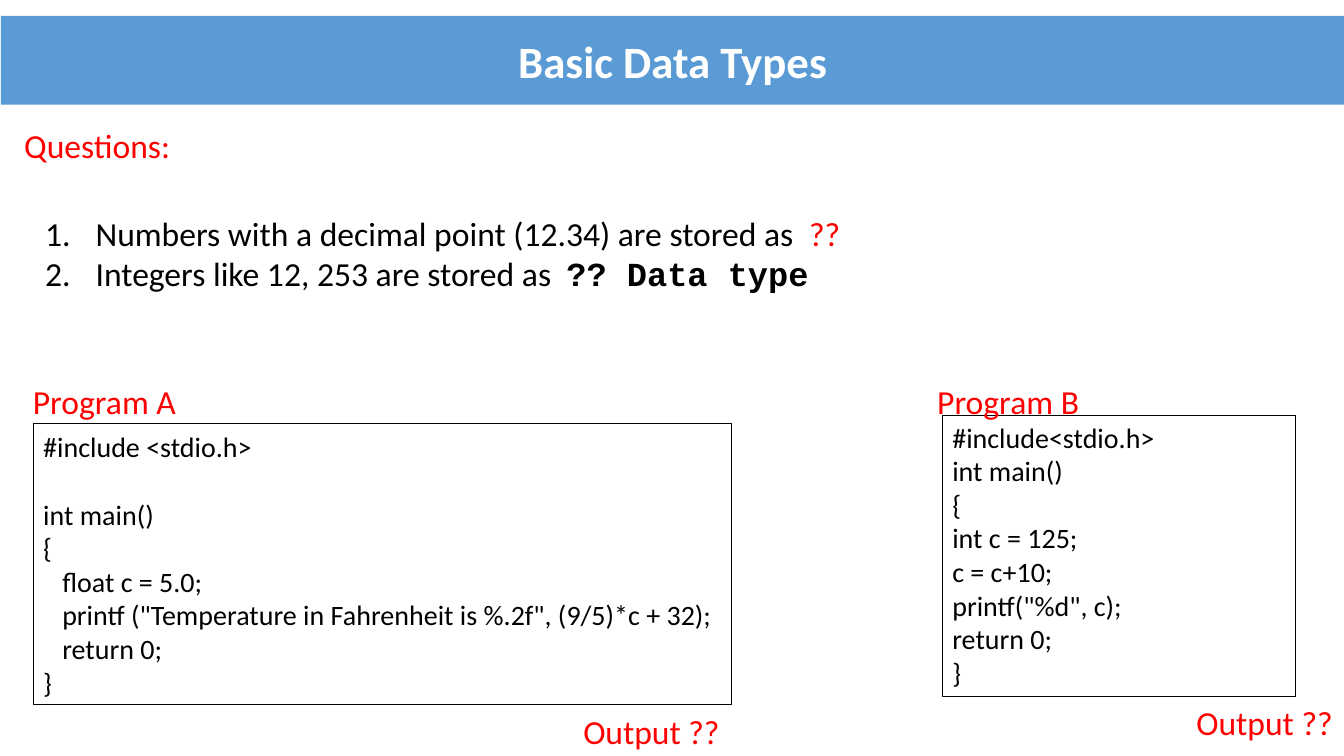
from pptx import Presentation
from pptx.dml.color import RGBColor
from pptx.enum.shapes import MSO_SHAPE
from pptx.enum.text import MSO_ANCHOR, PP_ALIGN
from pptx.oxml.ns import qn
from pptx.util import Cm, Pt
from lxml import etree

RECTANGLE = MSO_SHAPE.RECTANGLE
TOP, MIDDLE = MSO_ANCHOR.TOP, MSO_ANCHOR.MIDDLE
LEFT, CENTER = PP_ALIGN.LEFT, PP_ALIGN.CENTER

BLUE = RGBColor(0x5B, 0x9B, 0xD5)
WHITE = RGBColor(0xFF, 0xFF, 0xFF)
BLACK = RGBColor(0, 0, 0)
RED = RGBColor(0xFF, 0, 0)

BODY_FONT, CODE_FONT = "Calibri", "Courier New"
LABEL_SIZE, CODE_SIZE = 24, 20
LABEL_HEIGHT = 1.27
CODE_INDENT = 0.48
NUMBER_INDENT = 1.27

TITLE = "Basic Data Types"
LABELS = [
    ("Questions:", 0.36, 3.02, 4.24),
    ("Program A", 0.58, 9.47, 4.14),
    ("Program B", 23.37, 9.47, 4.14),
    ("Output ??", 14.45, 17.78, 3.99),
    ("Output ??", 29.9, 17.55, 3.99),
]
QUESTIONS = [
    ("Numbers with a decimal point (12.34) are stored as  ", "??", RED, BODY_FONT, False),
    ("Integers like 12, 253 are stored as  ", "?? Data type", BLACK, CODE_FONT, True),
]
PROGRAM_A = [
    ("#include <stdio.h>", 0, 0),
    ("int main()", 0, 24.4),
    ("{", 0, 0),
    ("float c = 5.0;", 1, 0),
    ('printf ("Temperature in Fahrenheit is %.2f", (9/5)*c + 32);', 1, 0),
    ("return 0;", 1, 0),
    ("}", 0, 0),
]
PROGRAM_B = [
    (line, 0, 0)
    for line in (
        "#include<stdio.h>",
        "int main()",
        "{",
        "int c = 125;",
        "c = c+10;",
        'printf("%d", c);',
        "return 0;",
        "}",
    )
]
PROGRAMS = [
    (PROGRAM_A, (0.84, 10.67, 17.6, 7.09), MIDDLE),
    (PROGRAM_B, (23.75, 10.46, 8.89, 7.09), TOP),
]


def format_font(run, size, color, name=BODY_FONT, bold=False):
    run.font.size = Pt(size)
    run.font.color.rgb = color
    run.font.name = name
    run.font.bold = bold


def add_text(slide, left, top, width, height):
    box = slide.shapes.add_textbox(Cm(left), Cm(top), Cm(width), Cm(height))
    box.text_frame.word_wrap = False
    return box.text_frame


def next_paragraph(frame, index):
    return frame.add_paragraph() if index else frame.paragraphs[0]


def add_title(slide):
    title = slide.shapes.title
    title.left, title.top, title.width, title.height = Cm(0.02), Cm(0.4), Cm(33.87), Cm(2.24)
    title.fill.solid()
    title.fill.fore_color.rgb = BLUE
    title.text_frame.text = TITLE
    title.text_frame.vertical_anchor = MIDDLE
    paragraph = title.text_frame.paragraphs[0]
    paragraph.alignment = CENTER
    format_font(paragraph.runs[0], 32, WHITE, bold=True)


def add_questions(slide):
    frame = add_text(slide, 0.89, 5.23, 20.73, 3.33)
    for index, (question, answer, color, font, bold) in enumerate(QUESTIONS):
        paragraph = next_paragraph(frame, index)
        paragraph.text = question
        format_font(paragraph.runs[0], LABEL_SIZE, BLACK)
        answer_run = paragraph.add_run()
        answer_run.text = answer
        format_font(answer_run, LABEL_SIZE, color, font, bold)
        properties = paragraph._p.get_or_add_pPr()
        properties.set("marL", str(Cm(NUMBER_INDENT)))
        properties.set("indent", str(-Cm(NUMBER_INDENT)))
        etree.SubElement(properties, qn("a:buAutoNum"), type="arabicPeriod")


def add_program(slide, lines, bounds, anchor):
    shape = slide.shapes.add_shape(RECTANGLE, *map(Cm, bounds))
    shape.shadow.inherit = False
    shape.fill.background()
    shape.line.color.rgb = BLACK
    shape.line.width = Pt(0.75)
    frame = shape.text_frame
    frame.word_wrap = True
    frame.vertical_anchor = anchor
    for index, (line, level, space) in enumerate(lines):
        paragraph = next_paragraph(frame, index)
        paragraph.text = line
        paragraph.alignment = LEFT
        paragraph.space_before = Pt(space)
        paragraph._p.get_or_add_pPr().set("marL", str(Cm(CODE_INDENT * level)))
        format_font(paragraph.runs[0], CODE_SIZE, BLACK)


def main():
    presentation = Presentation()
    presentation.slide_width, presentation.slide_height = Cm(33.87), Cm(19.05)
    slide = presentation.slides.add_slide(presentation.slide_layouts[5])
    add_title(slide)
    add_questions(slide)
    for lines, bounds, anchor in PROGRAMS:
        add_program(slide, lines, bounds, anchor)
    for label, left, top, width in LABELS:
        frame = add_text(slide, left, top, width, LABEL_HEIGHT)
        frame.text = label
        format_font(frame.paragraphs[0].runs[0], LABEL_SIZE, RED)
    presentation.save("out.pptx")


if __name__ == "__main__":
    main()
